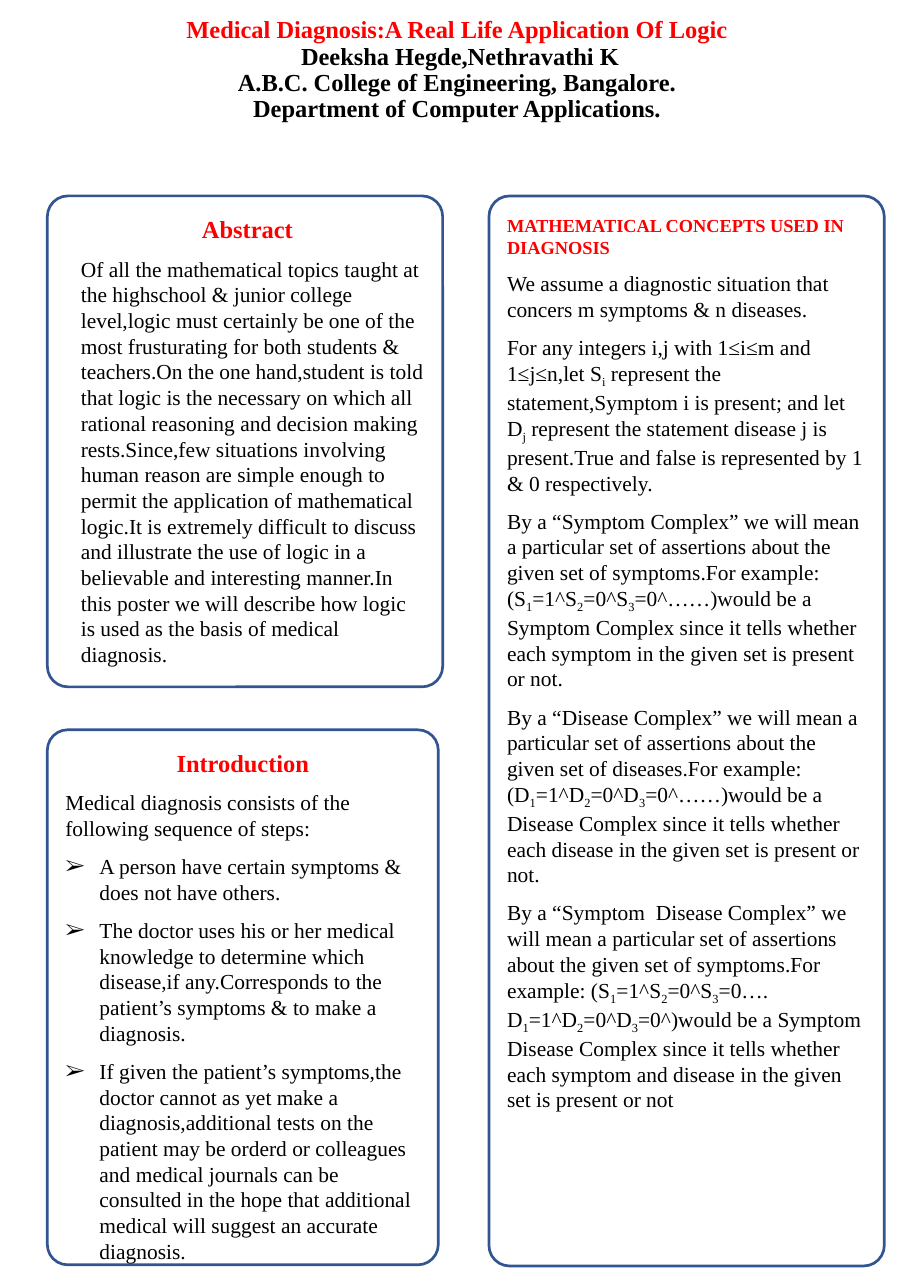
from lxml.etree import SubElement
from pptx import Presentation
from pptx.dml.color import RGBColor
from pptx.enum.shapes import MSO_SHAPE
from pptx.enum.text import MSO_ANCHOR, MSO_AUTO_SIZE, PP_ALIGN
from pptx.oxml.ns import qn
from pptx.util import Inches, Pt

FONT = "Times New Roman"
RED, BLACK, BLUE = "FF0000", "000000", "325491"
SUBSCRIPT_MARK = "~"

TITLE_LINES = [
    "Medical Diagnosis:A Real Life Application Of Logic",
    " Deeksha Hegde,Nethravathi K",
    "A.B.C. College of Engineering, Bangalore.",
    "Department of Computer Applications.",
]

PANELS = [
    {
        "place": (0.43, 1.78, 3.59, 4.46),
        "heading": (" Abstract", 16, PP_ALIGN.CENTER),
        "body": [
            ("indented", "Of all the mathematical topics taught at the highschool & junior college level,logic must certainly be one of the most frusturating for both students & teachers.On the one hand,student is told that logic is the necessary on which all rational reasoning and decision making rests.Since,few situations involving human reason are simple enough to permit the application of mathematical logic.It is extremely difficult to discuss and illustrate the use of logic in a believable and interesting manner.In this poster we will describe how logic is used as the basis of medical diagnosis."),
        ],
    },
    {
        "place": (4.44, 1.78, 3.59, 9.72),
        "heading": ("MATHEMATICAL CONCEPTS USED IN DIAGNOSIS", 12, PP_ALIGN.LEFT),
        "body": [
            ("plain", "We assume a diagnostic situation that concers m symptoms & n diseases."),
            ("plain", "For any integers i,j with 1≤i≤m and 1≤j≤n,let S~i~ represent the statement,Symptom i is present; and let D~j~ represent the statement disease j is present.True and false is represented by 1 & 0 respectively."),
            ("plain", "By a “Symptom Complex” we will mean a particular set of assertions about the given set of symptoms.For example: (S~1~=1^S~2~=0^S~3~=0^……)would be a Symptom Complex since it tells whether each symptom in the given set is present or not."),
            ("plain", "By a “Disease Complex” we will mean a particular set of assertions about the given set of diseases.For example: (D~1~=1^D~2~=0^D~3~=0^……)would be a Disease Complex since it tells whether each disease in the given set is present or not."),
            ("plain", "By a “Symptom  Disease Complex” we will mean a particular set of assertions about the given set of symptoms.For example: (S~1~=1^S~2~=0^S~3~=0…. D~1~=1^D~2~=0^D~3~=0^)would be a Symptom Disease Complex since it tells whether each symptom and disease in the given set is present or not"),
        ],
    },
    {
        "place": (0.43, 6.63, 3.55, 4.86),
        "heading": ("Introduction", 16, PP_ALIGN.CENTER),
        "body": [
            ("plain", "Medical diagnosis consists of the following sequence of steps:"),
            ("bullet", "A person have certain symptoms & does not have others."),
            ("bullet", "The doctor uses his or her medical knowledge to determine which disease,if any.Corresponds to the patient’s symptoms & to make a diagnosis."),
            ("bullet", "If given the patient’s symptoms,the doctor cannot as yet make a diagnosis,additional tests on the patient may be orderd or colleagues and medical journals can be consulted in the hope that additional medical will suggest an accurate diagnosis."),
        ],
    },
]

INDENTS = {"plain": (0, 0), "indented": (0.14, 0), "bullet": (0.31, -0.31)}


def color(hex_code):
    return RGBColor.from_string(hex_code)


def place(shape, left, top, width, height):
    shape.left, shape.top = Inches(left), Inches(top)
    shape.width, shape.height = Inches(width), Inches(height)


def set_margins(frame, across, down):
    frame.margin_left = frame.margin_right = Inches(across)
    frame.margin_top = frame.margin_bottom = Inches(down)


def format_runs(para, size, hex_code, bold):
    for span in para.runs:
        span.font.name = FONT
        span.font.size = Pt(size)
        span.font.bold = bold
        span.font.color.rgb = color(hex_code)


def add_spans(para, text):
    for index, piece in enumerate(text.split(SUBSCRIPT_MARK)):
        span = para.add_run()
        span.text = piece
        if index % 2:
            span.font._element.set("baseline", "-25000")


def style_paragraph(para, kind):
    para.alignment = PP_ALIGN.LEFT
    para.space_after = Pt(8.1)
    properties = para._p.get_or_add_pPr()
    margin, indent = INDENTS[kind]
    properties.set("marL", str(Inches(margin)))
    properties.set("indent", str(Inches(indent)))
    if kind == "bullet":
        SubElement(properties, qn("a:buFont")).set("typeface", FONT)
        SubElement(properties, qn("a:buChar")).set("char", "➢")


def fill_title(page):
    title = page.shapes.title
    place(title, 0, 0.15, 8.3, 1.24)
    frame = title.text_frame
    frame.text = "\n".join(TITLE_LINES)
    frame.word_wrap = True
    frame.auto_size = MSO_AUTO_SIZE.SHAPE_TO_FIT_TEXT
    frame.vertical_anchor = MSO_ANCHOR.TOP
    set_margins(frame, 0.03, 0.01)
    for index, para in enumerate(frame.paragraphs):
        para.alignment = PP_ALIGN.CENTER
        para.line_spacing = 0.9
        para.space_before = Pt(0)
        format_runs(para, 16, BLACK if index else RED, True)


def add_panel(page, panel):
    box = page.shapes.add_shape(
        MSO_SHAPE.ROUNDED_RECTANGLE, *map(Inches, panel["place"])
    )
    box.adjustments[0] = 0.052
    box.shadow.inherit = False
    box.fill.background()
    box.line.color.rgb = color(BLUE)
    box.line.width = Pt(1.75)
    frame = box.text_frame
    frame.word_wrap = True
    frame.vertical_anchor = MSO_ANCHOR.TOP
    set_margins(frame, 0.11, 0.11)

    text, size, alignment = panel["heading"]
    heading = frame.paragraphs[0]
    heading.text = text
    heading.alignment = alignment
    heading.space_after = Pt(8.1)
    format_runs(heading, size, RED, True)

    for kind, text in panel["body"]:
        para = frame.add_paragraph()
        add_spans(para, text)
        style_paragraph(para, kind)
        format_runs(para, 14, BLACK, False)


def main():
    deck = Presentation()
    deck.slide_width, deck.slide_height = Inches(8.3), Inches(11.7)
    page = deck.slides.add_slide(deck.slide_layouts[5])
    fill_title(page)
    for panel in PANELS:
        add_panel(page, panel)
    deck.save("out.pptx")


if __name__ == "__main__":
    main()
